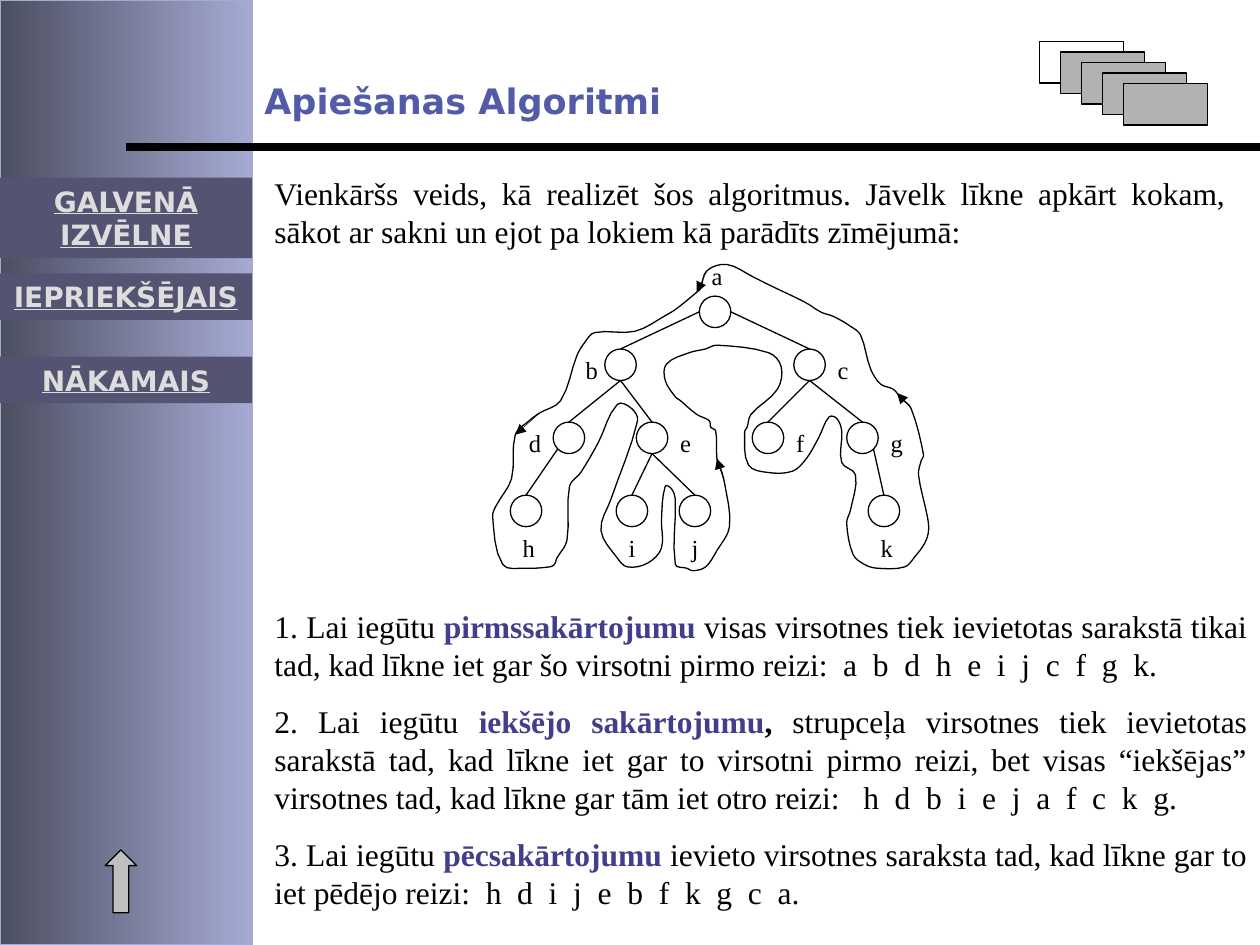
from lxml.etree import SubElement
from pptx import Presentation
from pptx.dml.color import RGBColor
from pptx.enum.shapes import MSO_CONNECTOR, MSO_SHAPE
from pptx.enum.text import MSO_ANCHOR, PP_ALIGN
from pptx.oxml.ns import qn
from pptx.util import Inches, Pt

COLUMNS, ROWS = 10, 7.5
SERIF, SANS = "Times New Roman", "DejaVu Sans"
BLACK, WHITE, ACCENT = "000000", "FFFFFF", "3F3F8B"


def color(hex_string):
    return RGBColor.from_string(hex_string)


class SlideBuilder:
    """Draws on one slide; every length counts grid columns or rows."""

    def __init__(self, presentation):
        self.column = presentation.slide_width / COLUMNS
        self.row = presentation.slide_height / ROWS
        self.slide = presentation.slides.add_slide(presentation.slide_layouts[6])
        self.shapes = self.slide.shapes

    def place(self, x, y):
        return round(x * self.column), round(y * self.row)

    def shape(self, kind, left, top, width, height, fill, line=BLACK):
        shape = self.shapes.add_shape(
            kind, *self.place(left, top), *self.place(width, height))
        shape.shadow.inherit = False
        if fill:
            shape.fill.solid()
            shape.fill.fore_color.rgb = color(fill)
        self.outline(shape, line)
        return shape

    def outline(self, shape, line, width=0.75):
        if line:
            shape.line.color.rgb = color(line)
            shape.line.width = Pt(width)
        else:
            shape.line.fill.background()

    def fill_text(self, shape, paragraphs, size, font, align=PP_ALIGN.LEFT,
                  anchor=MSO_ANCHOR.TOP, gap=0, side_margin=0.1):
        """Each paragraph is a list of runs: (text, color, bold, underline)."""
        frame = shape.text_frame
        frame.word_wrap = True
        frame.vertical_anchor = anchor
        frame.margin_left = frame.margin_right = Inches(side_margin)
        frame.margin_top = frame.margin_bottom = Inches(0.05)
        for index, runs in enumerate(paragraphs):
            paragraph = frame.add_paragraph() if index else frame.paragraphs[0]
            paragraph.alignment = align
            if index:
                paragraph.space_before = Pt(gap)
            for text, run_color, bold, underline in runs:
                run = paragraph.add_run()
                run.text = text
                run.font.name, run.font.size = font, Pt(size)
                run.font.bold, run.font.underline = bold, underline
                run.font.color.rgb = color(run_color)

    def text(self, left, top, width, height, paragraphs, size, font=SERIF, **style):
        box = self.shapes.add_textbox(
            *self.place(left, top), *self.place(width, height))
        self.fill_text(box, paragraphs, size, font, **style)

    def line(self, start, end, width=0.75, arrow=False):
        connector = self.shapes.add_connector(
            MSO_CONNECTOR.STRAIGHT, *self.place(*start), *self.place(*end))
        self.outline(connector, BLACK, width)
        properties = connector._element.spPr
        if arrow:
            SubElement(properties.find(qn("a:ln")), qn("a:tailEnd"), type="triangle")
        SubElement(properties, qn("a:effectLst"))

    def curve(self, points):
        """Closed smooth outline through the points."""
        vertices = [self.place(x, y) for x, y in smooth(points)]
        builder = self.shapes.build_freeform(*vertices[0])
        builder.add_line_segments(vertices[1:], close=True)
        shape = builder.convert_to_shape()
        shape.shadow.inherit = False
        shape.fill.background()
        self.outline(shape, BLACK)


def smooth(points, steps=4):
    """Hermite curve whose tangents follow the neighbouring points."""
    knots = [complex(*point) for point in points]
    count = len(knots)
    chords = [knots[(i + 1) % count] - knots[i - 1] for i in range(count)]
    tangents = [chord / abs(chord) for chord in chords]
    result = []
    for i, start in enumerate(knots):
        following = (i + 1) % count
        end = knots[following]
        reach = abs(end - start) / 3
        first, second = start + reach * tangents[i], end - reach * tangents[following]
        for step in range(steps):
            t = step / steps
            u = 1 - t
            spot = (u ** 3 * start + 3 * u * u * t * first
                    + 3 * u * t * t * second + t ** 3 * end)
            result.append((spot.real, spot.imag))
    return result


# Tree: node -> circle left, circle top, label left, label top
NODE = 0.25
NODES = {
    "a": (5.55, 2.35, 5.55, 2.02),
    "b": (4.8, 2.77, 4.55, 2.77), "c": (6.3, 2.77, 6.55, 2.77),
    "d": (4.39, 3.35, 4.1, 3.35), "e": (5.05, 3.35, 5.3, 3.35),
    "f": (5.97, 3.35, 6.22, 3.35), "g": (6.72, 3.35, 6.97, 3.35),
    "h": (4.05, 3.93, 4.05, 4.18), "i": (4.89, 3.93, 4.89, 4.18),
    "j": (5.39, 3.93, 5.39, 4.18), "k": (6.89, 3.93, 6.89, 4.18),
}
# Where an edge leaves its parent, as shares of the circle's box
LEFT, RIGHT, BOTTOM = (0, 0.5), (1, 0.5), (0.5, 1)
LOWER_LEFT, LOWER_RIGHT = (0.15, 0.85), (0.85, 0.85)
EDGES = [
    ("a", "b", LEFT), ("a", "c", RIGHT), ("b", "d", BOTTOM), ("b", "e", BOTTOM),
    ("c", "f", BOTTOM), ("c", "g", BOTTOM), ("d", "h", LOWER_LEFT),
    ("e", "i", BOTTOM), ("e", "j", BOTTOM), ("g", "k", LOWER_RIGHT),
]
WALK = [
    (5.77, 2.1), (5.61, 2.15), (5.56, 2.29), (5.53, 2.32), (5.37, 2.45), (5.29, 2.5),
    (5.04, 2.63), (4.72, 2.64), (4.64, 2.72), (4.58, 2.82), (4.45, 3.18), (4.28, 3.28),
    (4.2, 3.34), (4.09, 3.45), (4.06, 3.8), (3.94, 4.01), (3.91, 4.1), (3.99, 4.48),
    (4.17, 4.51), (4.36, 4.5), (4.4, 4.48), (4.42, 4.43), (4.5, 4.29), (4.52, 3.86),
    (4.61, 3.75), (4.75, 3.51), (4.9, 3.21), (5.01, 3.24), (5.06, 3.34), (4.85, 3.96),
    (4.77, 4.21), (4.9, 4.43), (4.98, 4.5), (5.14, 4.47), (5.25, 4.35), (5.25, 4.13),
    (5.28, 3.86), (5.33, 3.88), (5.36, 3.97), (5.36, 4.48), (5.45, 4.51), (5.5, 4.53),
    (5.6, 4.5), (5.69, 4.37), (5.79, 4.18), (5.75, 3.83), (5.71, 3.69), (5.69, 3.64),
    (5.68, 3.42), (5.64, 3.39), (5.63, 3.34), (5.53, 3.29), (5.4, 3.18), (5.36, 3.15),
    (5.28, 3.02), (5.29, 2.89), (5.47, 2.8), (5.6, 2.77), (5.69, 2.74), (6.1, 2.8),
    (6.2, 2.91), (6.17, 3.09), (5.96, 3.29), (5.93, 3.39), (5.91, 3.43), (5.94, 3.69),
    (6.09, 3.75), (6.29, 3.74), (6.4, 3.64), (6.5, 3.47), (6.58, 3.31), (6.64, 3.32),
    (6.68, 3.42), (6.68, 3.67), (6.79, 3.77), (6.75, 4.05), (6.72, 4.15), (6.77, 4.4),
    (6.86, 4.48), (6.96, 4.51), (7.18, 4.5), (7.26, 4.42), (7.34, 4.31), (7.37, 4.21),
    (7.36, 4.1), (7.29, 3.77), (7.31, 3.66), (7.33, 3.61), (7.23, 3.24), (7.15, 3.16),
    (7.09, 3.09), (6.99, 3.05), (6.91, 2.93), (6.83, 2.66), (6.75, 2.59), (6.61, 2.51),
    (6.52, 2.48), (6.39, 2.4), (6.1, 2.26), (5.98, 2.2),
]
WALK_ARROWS = [
    ((5.61, 2.15), (5.53, 2.32)), ((4.28, 3.28), (4.09, 3.45)),
    ((5.75, 3.83), (5.69, 3.64)), ((7.23, 3.24), (7.12, 3.12)),
]
# Orders: lead, term, comma after the term, explanation
ORDERS = [
    ("1. Lai iegūtu ", "pirmssakārtojumu", "", " visas virsotnes tiek ievietotas sarakstā "
     "tikai tad, kad līkne iet gar šo virsotni pirmo reizi:  a  b  d  h  e  i  j  c  f  g  k."),
    ("2. Lai iegūtu ", "iekšējo sakārtojumu", ",", " strupceļa virsotnes tiek ievietotas "
     "sarakstā tad, kad līkne iet gar to virsotni pirmo reizi, bet visas “iekšējas” "
     "virsotnes tad, kad līkne gar tām iet otro reizi:   h  d  b  i  e  j  a  f  c  k  g."),
    ("3. Lai iegūtu ", "pēcsakārtojumu", "", " ievieto virsotnes saraksta tad, kad līkne "
     "gar to iet pēdējo reizi:  h  d  i  j  e  b  f  k  g  c  a."),
]
# Menu: label, top, height, side margin
MENU = [("GALVENĀ IZVĒLNE", 1.41, 0.64, 0.1), ("IEPRIEKŠĒJAIS", 2.17, 0.37, 0),
        ("NĀKAMAIS", 2.83, 0.37, 0.1)]


def main():
    presentation = Presentation()
    presentation.slide_width, presentation.slide_height = Inches(COLUMNS), Inches(ROWS)
    page = SlideBuilder(presentation)

    # Side panel, rule and up arrow
    panel = page.shape(MSO_SHAPE.RECTANGLE, 0, 0, 2, ROWS, None, "A5AAD3")
    panel.fill.gradient()
    panel.fill.gradient_angle = 180
    for stop, shade in zip(panel.fill.gradient_stops, ("A5AAD3", "4C4E61")):
        stop.color.rgb = color(shade)
    page.line((COLUMNS, 1.17), (1, 1.17), width=4.5)
    arrow = page.shape(MSO_SHAPE.RIGHT_ARROW, 0.71, 6.87, 0.5, 0.25, "C0C0C0")
    arrow.rotation = 270

    # Title and introduction
    page.text(2, 0.58, 5.33, 0.44,
              [[("Apiešanas Algoritmi", "515BA7", True, False)]], 20, SANS)
    page.text(2.08, 1.33, 7.75, 0.7, [[(
        "Vienkāršs veids, kā realizēt šos algoritmus. Jāvelk līkne apkārt kokam, "
        "sākot ar sakni un ejot pa lokiem kā parādīts zīmējumā:",
        BLACK, False, False)]], 18, align=PP_ALIGN.JUSTIFY)

    # Tree edges, then nodes with labels
    for parent, child, (across, down) in EDGES:
        left, top = NODES[parent][:2]
        child_left, child_top = NODES[child][:2]
        page.line((left + across * NODE, top + down * NODE),
                  (child_left + NODE / 2, child_top))
    for name, (left, top, label_left, label_top) in NODES.items():
        page.shape(MSO_SHAPE.FLOWCHART_CONNECTOR, left, top, NODE, NODE, WHITE)
        page.text(label_left, label_top, 0.33, 0.34,
                  [[(name, BLACK, False, False)]], 14)

    # Walk around the tree
    page.curve(WALK)
    for start, end in WALK_ARROWS:
        page.line(start, end, width=0.25, arrow=True)

    # Three orders
    paragraphs = []
    for lead, term, comma, rest in ORDERS:
        runs = [(lead, BLACK, False, False), (term, ACCENT, True, False),
                (comma, BLACK, True, False), (rest, BLACK, False, False)]
        paragraphs.append([run for run in runs if run[0]])
    page.text(2.08, 4.77, 7.92, 2.52, paragraphs, 18, align=PP_ALIGN.JUSTIFY, gap=11.2)

    # Stack of cards
    for index in range(5):
        page.shape(MSO_SHAPE.RECTANGLE, 8.25 + index / 6, 0.33 + index / 12,
                   0.67, 0.33, "B2B2B2" if index else WHITE)

    # Menu buttons
    for label, top, height, side_margin in MENU:
        button = page.shape(MSO_SHAPE.RECTANGLE, 0, top, 2, height, "545472", None)
        page.fill_text(button, [[(label, "DDDDDD", True, True)]], 16, SANS,
                       PP_ALIGN.CENTER, MSO_ANCHOR.MIDDLE, side_margin=side_margin)

    presentation.save("out.pptx")


if __name__ == "__main__":
    main()
